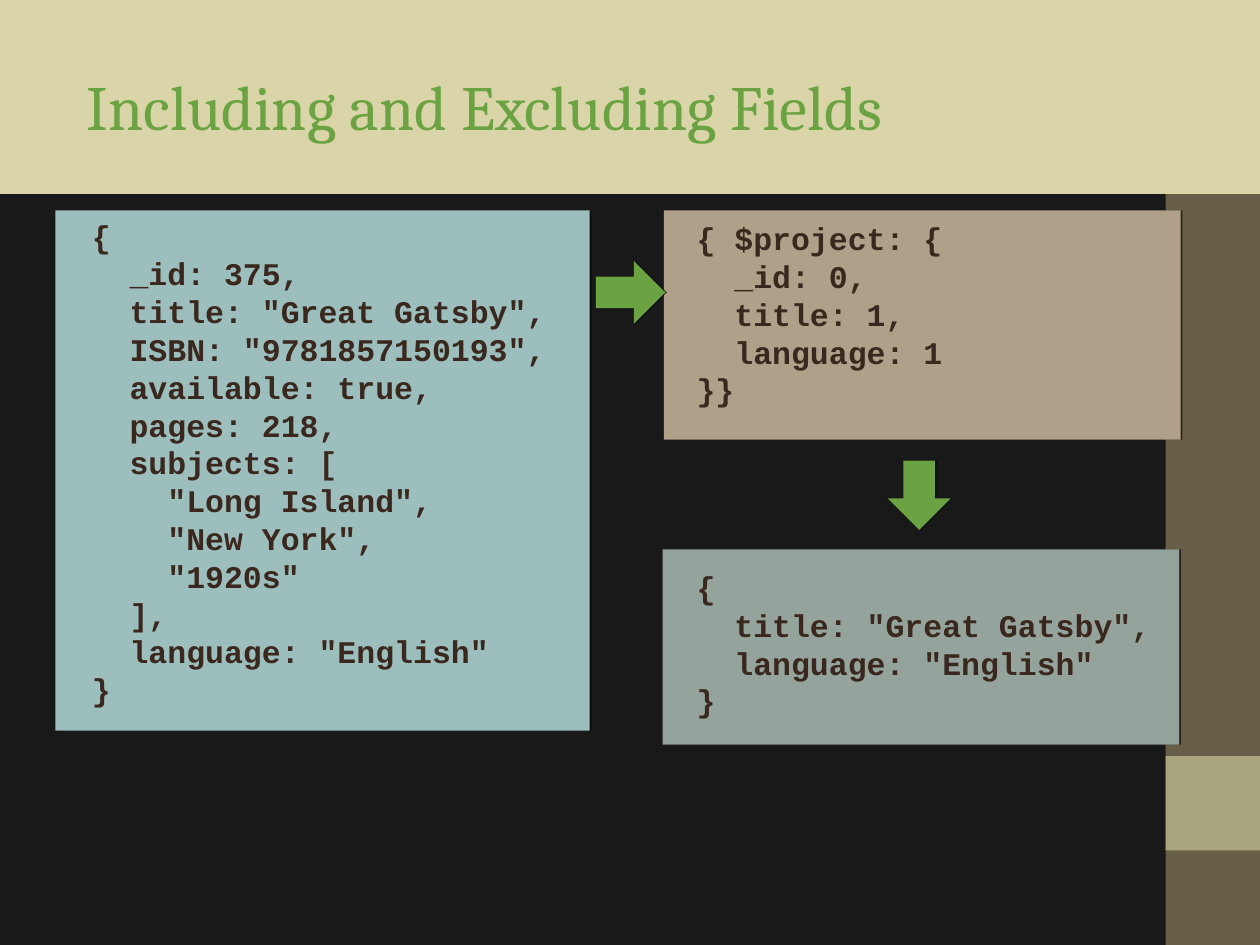
from dataclasses import dataclass

from pptx import Presentation
from pptx.dml.color import RGBColor
from pptx.enum.shapes import MSO_SHAPE
from pptx.enum.text import MSO_ANCHOR, MSO_AUTO_SIZE, PP_ALIGN
from pptx.oxml import parse_xml
from pptx.oxml.ns import nsdecls
from pptx.util import Pt

EMU_PER_PX = 9144
GREEN = "6BA342"
INK = "3A281E"
SHADOW = (
    f'<a:effectLst {nsdecls("a")}><a:outerShdw blurRad="0" dist="12700" dir="0">'
    '<a:srgbClr val="000000"><a:alpha val="60000"/></a:srgbClr>'
    "</a:outerShdw></a:effectLst>"
)


@dataclass
class Box:
    x: int
    y: int
    w: int
    h: int

    def emu(self) -> list[int]:
        """Return left, top, width and height in EMU."""
        return [v * EMU_PER_PX for v in (self.x, self.y, self.w, self.h)]


@dataclass
class Block:
    box: Box
    fill: str
    shape: int = MSO_SHAPE.RECTANGLE
    shadow: bool = True
    rotation: int = 0


@dataclass
class Code:
    box: Box
    text: str


BLOCKS = [
    Block(Box(925, 0, 75, 750), "675E47", shadow=False),
    Block(Box(925, 600, 75, 75), "A9A57C", shadow=False),
    Block(Box(0, 0, 1000, 154), "D9D5A9"),
    Block(Box(527, 167, 410, 182), "B1A089"),
    Block(Box(44, 167, 424, 413), "9CBEBD"),
    Block(Box(526, 436, 410, 155), "95A39D"),
    Block(Box(473, 207, 55, 50), GREEN, MSO_SHAPE.RIGHT_ARROW),
    Block(Box(702, 368, 55, 50), GREEN, MSO_SHAPE.RIGHT_ARROW, rotation=90),
]

BOOK = """{
  _id: 375,
  title: "Great Gatsby",
  ISBN: "9781857150193",
  available: true,
  pages: 218,
  subjects: [
    "Long Island",
    "New York",
    "1920s"
  ],
  language: "English"
}"""

PROJECTION = """{ $project: {
  _id: 0,
  title: 1,
  language: 1
}}"""

RESULT = """{
  title: "Great Gatsby",
  language: "English"
}"""

CODES = [
    Code(Box(63, 167, 382, 430), BOOK),
    Code(Box(543, 169, 409, 160), PROJECTION),
    Code(Box(543, 446, 391, 130), RESULT),
]


def rgb(value: str) -> RGBColor:
    """Turn a hex string into a colour."""
    return RGBColor.from_string(value)


def set_font(p, name: str, size: int, color: str, bold: bool = False) -> None:
    """Set the font of a whole paragraph."""
    p.font.name = name
    p.font.size = Pt(size)
    p.font.bold = bold
    p.font.color.rgb = rgb(color)


def add_block(s, block: Block) -> None:
    """Draw a filled shape, with a hairline shadow if asked for."""
    sp = s.shapes.add_shape(block.shape, *block.box.emu())
    sp.rotation = block.rotation
    sp.fill.solid()
    sp.fill.fore_color.rgb = rgb(block.fill)
    sp.line.fill.background()
    if block.shadow:
        sp._element.spPr.append(parse_xml(SHADOW))
    else:
        sp.shadow.inherit = False


def add_code(s, code: Code) -> None:
    """Write a code listing, one paragraph per line."""
    tf = s.shapes.add_textbox(*code.box.emu()).text_frame
    tf.word_wrap = True
    tf.auto_size = MSO_AUTO_SIZE.SHAPE_TO_FIT_TEXT
    tf.text = code.text
    for p in tf.paragraphs:
        set_font(p, "Courier New", 18, INK, bold=True)


def set_title(s, text: str, box: Box) -> None:
    """Place the title placeholder in front of the band and fill it."""
    sp = s.shapes.title
    sp.left, sp.top, sp.width, sp.height = box.emu()
    s.shapes._spTree.append(sp._element)
    tf = sp.text_frame
    tf.margin_left = tf.margin_top = tf.margin_right = tf.margin_bottom = 0
    tf.vertical_anchor = MSO_ANCHOR.MIDDLE
    tf.text = text
    p = tf.paragraphs[0]
    p.alignment = PP_ALIGN.LEFT
    set_font(p, "Cambria", 36, GREEN)


def main() -> None:
    """Build the slide and save it."""
    prs = Presentation()
    prs.slide_width, prs.slide_height = 1000 * EMU_PER_PX, 750 * EMU_PER_PX
    s = prs.slides.add_slide(prs.slide_layouts[5])
    s.background.fill.solid()
    s.background.fill.fore_color.rgb = rgb("191919")
    for block in BLOCKS:
        add_block(s, block)
    set_title(s, "Including and Excluding Fields", Box(69, 37, 864, 93))
    for code in CODES:
        add_code(s, code)
    prs.save("out.pptx")


if __name__ == "__main__":
    main()
